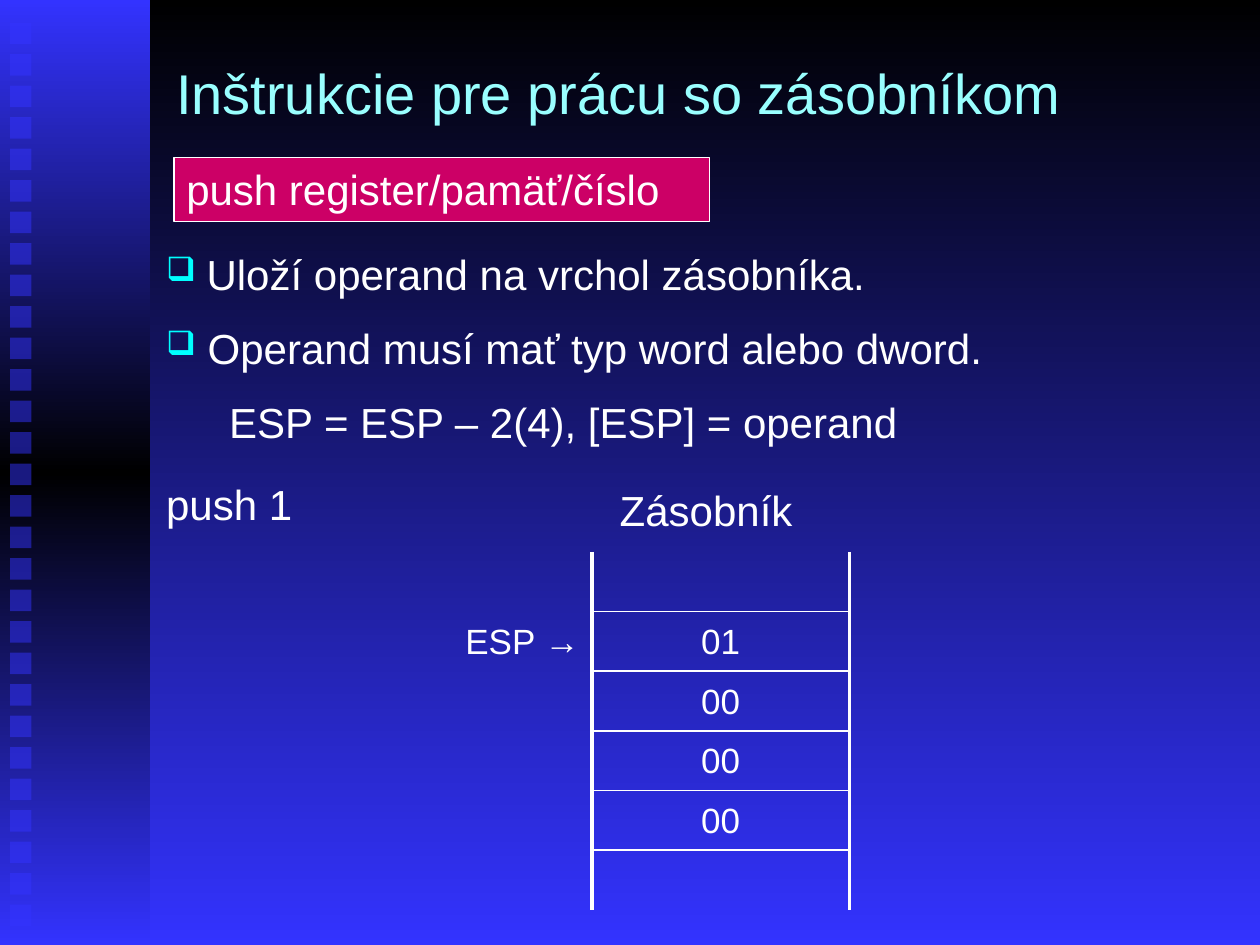
from copy import deepcopy

from lxml.etree import SubElement
from pptx import Presentation
from pptx.dml.color import RGBColor
from pptx.enum.shapes import MSO_SHAPE
from pptx.enum.text import MSO_ANCHOR, PP_ALIGN
from pptx.oxml.ns import qn
from pptx.util import Inches, Pt

COLORS = {
    "white": "FFFFFF",
    "title": "99FFFF",
    "bullet": "00FFFF",
    "banner": "CC0066",
    "blue": "3333FF",
    "black": "000000",
}


def rgb(color):
    return RGBColor.from_string(COLORS[color])


def apply(target, values):
    for name, value in values.items():
        setattr(target, name, value)


class StackSlide:
    body_font = "Arial"
    space_font = "Times New Roman"
    paragraph_gap = Pt(13.5)

    def __init__(self, slide):
        self.slide = slide

    def gradient(self, fill, start, end):
        fill.gradient()
        fill.gradient_angle = 270
        for stop, color in zip(fill.gradient_stops, (start, end)):
            stop.color.rgb = rgb(color)

    def rectangle(self, left, top, width, height, color, alpha=None):
        shape = self.slide.shapes.add_shape(
            MSO_SHAPE.RECTANGLE, Inches(left), Inches(top), Inches(width), Inches(height)
        )
        shape.shadow.inherit = False
        shape.line.fill.background()
        shape.fill.solid()
        shape.fill.fore_color.rgb = rgb(color)
        if alpha:
            tint = shape._element.spPr.find(".//" + qn("a:srgbClr"))
            SubElement(tint, qn("a:alpha"), val=str(alpha * 1000))
        return shape

    def sidebar(self, width, height):
        band = self.rectangle(0, 0, width, height, "blue")
        self.gradient(band.fill, "blue", "black")
        stops = band._element.spPr.find(".//" + qn("a:gsLst"))
        last_stop = deepcopy(stops[0])
        stops[1].set("pos", "50000")
        last_stop.set("pos", "100000")
        stops.append(last_stop)

    def add_text(self, paragraph, text, size, color="white", align=PP_ALIGN.LEFT, font=body_font):
        paragraph.alignment = align
        run = paragraph.add_run()
        run.text = text
        apply(run.font, {"name": font, "size": Pt(size)})
        run.font.color.rgb = rgb(color)

    def textbox(self, left, top, width, height, text=None, size=24, color="white",
                anchor=MSO_ANCHOR.TOP):
        box = self.slide.shapes.add_textbox(
            Inches(left), Inches(top), Inches(width), Inches(height)
        )
        frame = box.text_frame
        apply(frame, {"word_wrap": True, "vertical_anchor": anchor})
        if text:
            self.add_text(frame.paragraphs[0], text, size, color)
        return frame

    def banner(self, left, top, width, height, text):
        shape = self.rectangle(left, top, width, height, "banner")
        shape.line.color.rgb = rgb("white")
        shape.line.width = Pt(0.75)
        apply(shape.text_frame, {"word_wrap": True, "vertical_anchor": MSO_ANCHOR.TOP})
        self.add_text(shape.text_frame.paragraphs[0], text, 24)

    def bullet(self, paragraph):
        properties = paragraph._p.get_or_add_pPr()
        tint = SubElement(properties, qn("a:buClr"))
        SubElement(tint, qn("a:srgbClr"), val=COLORS["bullet"])
        SubElement(properties, qn("a:buSzPct"), val="80000")
        SubElement(properties, qn("a:buChar"), char="❑")

    def explanation(self, left, top, width, height, points, formula):
        frame = self.textbox(left, top, width, height)
        for index, point in enumerate(points):
            paragraph = frame.add_paragraph() if index else frame.paragraphs[0]
            self.bullet(paragraph)
            if index:
                paragraph.space_before = self.paragraph_gap
                self.add_text(paragraph, " " + point, 24)
            else:
                self.add_text(paragraph, " ", 24, font=self.space_font)
                self.add_text(paragraph, point, 24)
        effect = frame.add_paragraph()
        apply(effect, {"level": 1, "space_before": self.paragraph_gap})
        effect._p.get_or_add_pPr().set("marL", str(Inches(0.5)))
        effect._p.get_or_add_pPr().set("indent", "0")
        self.add_text(effect, formula, 24)

    def borders(self, cell, widths):
        properties = cell._tc.get_or_add_tcPr()
        for side in "LRTB":
            width = widths.get(side)
            line = SubElement(properties, qn(f"a:ln{side}"), w=str(Pt(width or 0)))
            if width:
                paint = SubElement(line, qn("a:solidFill"))
                SubElement(paint, qn("a:srgbClr"), val=COLORS["white"])
            else:
                SubElement(line, qn("a:noFill"))

    def stack(self, left, top, column_widths, height, rows):
        table = self.slide.shapes.add_table(
            len(rows), len(column_widths), Inches(left), Inches(top),
            Inches(sum(column_widths)), Inches(height),
        ).table
        apply(table, {"first_row": False, "horz_banding": False})
        for column, width in zip(table.columns, column_widths):
            column.width = Inches(width)
        last = len(rows) - 1
        for index, texts in enumerate(rows):
            table.rows[index].height = Inches(height / len(rows))
            stack_borders = {"L": 2.25, "R": 2.25, "T": index > 0, "B": index < last}
            columns = zip(texts, ({"R": 2.25}, stack_borders), (PP_ALIGN.RIGHT, PP_ALIGN.CENTER))
            for position, (text, widths, align) in enumerate(columns):
                cell = table.cell(index, position)
                self.borders(cell, widths)
                cell.fill.background()
                apply(cell, {"margin_top": Inches(0.09), "margin_bottom": Inches(0.05)})
                if text:
                    self.add_text(cell.text_frame.paragraphs[0], text, 20, align=align)


def main():
    presentation = Presentation()
    apply(presentation, {"slide_width": Inches(10), "slide_height": Inches(7.5)})
    page = StackSlide(presentation.slides.add_slide(presentation.slide_layouts[6]))
    page.gradient(page.slide.background.fill, "black", "blue")

    page.sidebar(1.19, 7.5)
    for index in range(29):
        page.rectangle(0.08, 0.18 + 0.25 * index, 0.17, 0.17, "blue", alpha=50)

    page.textbox(1.3, 0.36, 8.5, 0.75, "Inštrukcie pre prácu so zásobníkom",
                 32, "title", MSO_ANCHOR.MIDDLE)
    page.banner(1.38, 1.25, 4.25, 0.51, "push register/pamäť/číslo")
    page.explanation(
        1.22, 1.92, 8.58, 1.72,
        ["Uloží operand na vrchol zásobníka.", "Operand musí mať typ word alebo dword."],
        "ESP = ESP – 2(4), [ESP] = operand",
    )
    page.textbox(1.22, 3.75, 8.98, 0.5, "push 1")
    page.stack(
        2.32, 4.38, [2.38, 2.04], 2.84,
        [("", ""), ("ESP →", "01"), ("", "00"), ("", "00"), ("", "00"), ("", "")],
    )
    page.textbox(4.82, 3.8, 1.75, 0.5, "Zásobník")
    presentation.save("out.pptx")


if __name__ == "__main__":
    main()
